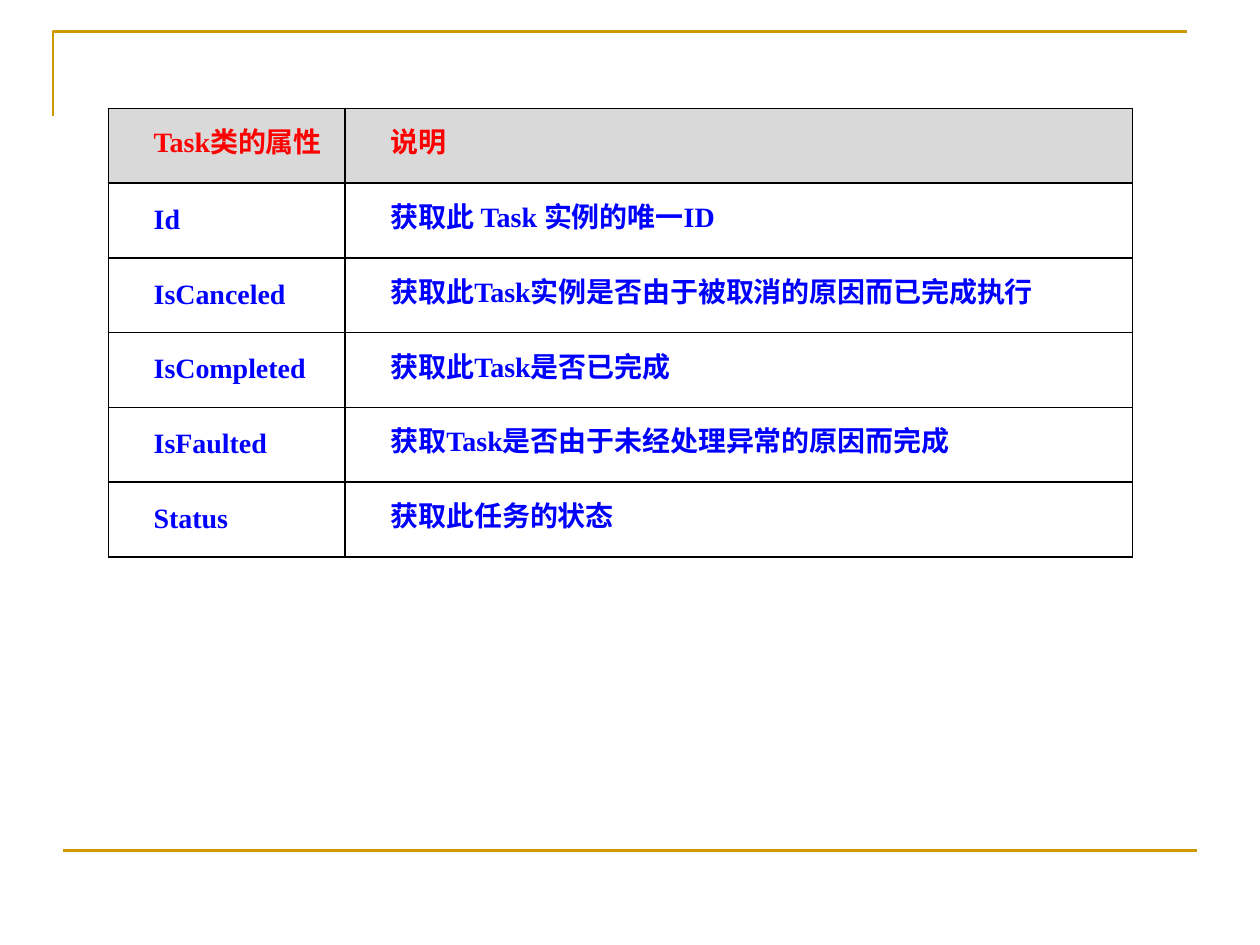
from lxml import etree
from pptx import Presentation, util as u
from pptx.dml.color import RGBColor
from pptx.enum import shapes, text
from pptx.oxml import ns

GOLD = RGBColor(0xCC, 0x99, 0x00)
RED = RGBColor(0xFF, 0x00, 0x00)
BLUE = RGBColor(0x00, 0x00, 0xFF)
GRAY = RGBColor(0xD9, 0xD9, 0xD9)
BLACK = RGBColor(0x00, 0x00, 0x00)

ROWS = [
    ("Task类的属性", "说明"),
    ("Id", "获取此 Task 实例的唯一ID"),
    ("IsCanceled", "获取此Task实例是否由于被取消的原因而已完成执行"),
    ("IsCompleted", "获取此Task是否已完成"),
    ("IsFaulted", "获取Task是否由于未经处理异常的原因而完成"),
    ("Status", "获取此任务的状态"),
]
COLUMN_WIDTHS = [u.Inches(1.88), u.Inches(6.25)]
ROW_HEIGHT = u.Inches(3.56) // len(ROWS)


def write_text(cell, words, color, size=16, font="Times New Roman", bold=True):
    para = cell.text_frame.paragraphs[0]
    para.alignment = text.PP_ALIGN.JUSTIFY
    para.line_spacing = u.Pt(30)
    properties = para._p.get_or_add_pPr()
    properties.set("marL", "0")
    properties.set("indent", str(u.Inches(0.29)))
    span = para.add_run()
    span.text = words
    span.font.size = u.Pt(size)
    span.font.name = font
    span.font.bold = bold
    span.font.color.rgb = color
    return span


def draw_borders(cell, color, width):
    properties = cell._tc.get_or_add_tcPr()
    for position, side in enumerate(("lnL", "lnR", "lnT", "lnB")):
        line = etree.Element(ns.qn(f"a:{side}"), w=str(u.Pt(width)))
        fill = etree.SubElement(line, ns.qn("a:solidFill"))
        etree.SubElement(fill, ns.qn("a:srgbClr"), val=str(color))
        properties.insert(position, line)


deck = Presentation()
deck.slide_width, deck.slide_height = u.Inches(10), u.Inches(7.5)
page = deck.slides.add_slide(deck.slide_layouts[6])
W, H = deck.slide_width, deck.slide_height

left, top = u.Inches(0.42), H // 30
builder = page.shapes.build_freeform(left, u.Inches(0.92))
builder.add_line_segments([(left, top), (left + W * 9 // 10, top)], close=False)
corner = builder.convert_to_shape()
corner.fill.background()
corner.shadow.inherit = False

footer = page.shapes.add_connector(
    shapes.MSO_CONNECTOR.STRAIGHT, W // 20, H * 9 // 10, W * 19 // 20, H * 9 // 10
)
etree.SubElement(footer._element.spPr, ns.qn("a:effectLst"))

for rule in (corner, footer):
    rule.line.color.rgb = GOLD
    rule.line.width = u.Pt(1.5)

frame = page.shapes.add_table(
    len(ROWS), len(COLUMN_WIDTHS), u.Inches(0.86), u.Inches(0.86),
    sum(COLUMN_WIDTHS), ROW_HEIGHT * len(ROWS),
)
table = frame.table
table.horz_banding = False
for column, width in zip(table.columns, COLUMN_WIDTHS):
    column.width = width

for r, row in enumerate(ROWS):
    table.rows[r].height = ROW_HEIGHT
    for c, words in enumerate(row):
        cell = table.cell(r, c)
        cell.margin_left = cell.margin_right = u.Inches(0.07)
        cell.margin_top = cell.margin_bottom = 0
        if r == 0:
            cell.fill.solid()
            cell.fill.fore_color.rgb = GRAY
        else:
            cell.fill.background()
        draw_borders(cell, BLACK, width=1)
        span = write_text(cell, words, RED if r == 0 else BLUE)
        if words == "IsFaulted":
            highlight = etree.Element(ns.qn("a:highlight"))
            etree.SubElement(highlight, ns.qn("a:srgbClr"), val="FFFFFF")
            span.font._element.find(ns.qn("a:solidFill")).addnext(highlight)

deck.save("out.pptx")
